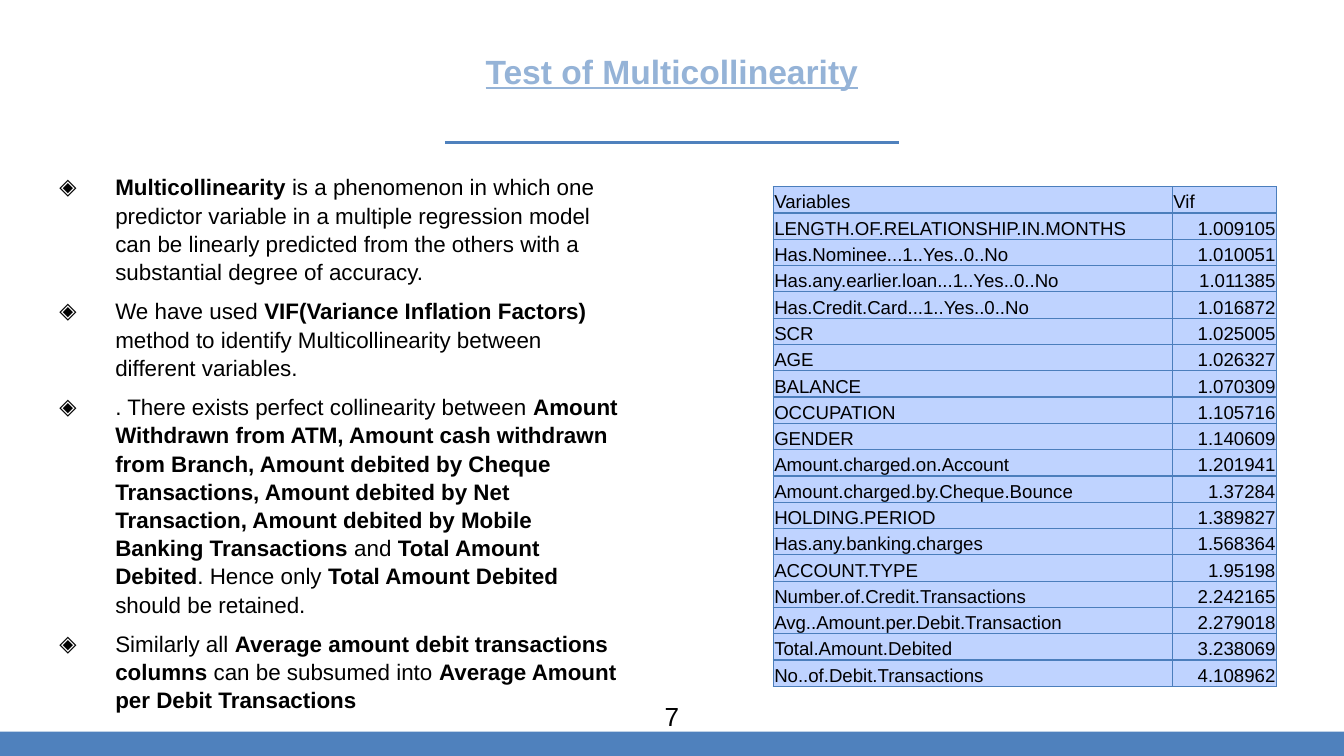
from lxml.etree import SubElement
from pptx import Presentation
from pptx.dml.color import RGBColor
from pptx.enum.shapes import MSO_CONNECTOR, MSO_SHAPE
from pptx.enum.text import MSO_ANCHOR, PP_ALIGN
from pptx.oxml.ns import qn
from pptx.util import Pt

TITLE = "Test of Multicollinearity"
PAGE_NUMBER = "7"

# Each bullet is a list of (text, bold) runs.
BULLETS = [
    [("Multicollinearity", True),
     (" is a phenomenon in which one predictor variable in a multiple regression model "
      "can be linearly predicted from the others with a substantial degree of accuracy.", False)],
    [("We have used ", False),
     ("VIF(Variance Inflation Factors)", True),
     (" method to identify Multicollinearity between different variables.", False)],
    [(". There exists perfect collinearity between ", False),
     ("Amount Withdrawn from ATM, Amount cash withdrawn from Branch, Amount debited by "
      "Cheque Transactions, Amount debited by Net Transaction, Amount debited by Mobile "
      "Banking Transactions", True),
     (" and ", False),
     ("Total Amount Debited", True),
     (". Hence only ", False),
     ("Total Amount Debited", True),
     (" should be retained.", False)],
    [("Similarly all ", False),
     ("Average amount debit transactions columns", True),
     (" can be subsumed into ", False),
     ("Average Amount per Debit Transactions", True)],
]

VIF_ROWS = [
    ("Variables", "Vif"),
    ("LENGTH.OF.RELATIONSHIP.IN.MONTHS", "1.009105"),
    ("Has.Nominee...1..Yes..0..No", "1.010051"),
    ("Has.any.earlier.loan...1..Yes..0..No", "1.011385"),
    ("Has.Credit.Card...1..Yes..0..No", "1.016872"),
    ("SCR", "1.025005"),
    ("AGE", "1.026327"),
    ("BALANCE", "1.070309"),
    ("OCCUPATION", "1.105716"),
    ("GENDER", "1.140609"),
    ("Amount.charged.on.Account", "1.201941"),
    ("Amount.charged.by.Cheque.Bounce", "1.37284"),
    ("HOLDING.PERIOD", "1.389827"),
    ("Has.any.banking.charges", "1.568364"),
    ("ACCOUNT.TYPE", "1.95198"),
    ("Number.of.Credit.Transactions", "2.242165"),
    ("Avg..Amount.per.Debit.Transaction", "2.279018"),
    ("Total.Amount.Debited", "3.238069"),
    ("No..of.Debit.Transactions", "4.108962"),
]

THEME = {
    "font": "Arial",
    "accent": "4F81BD", "title": "95B3D7", "text": "000000",
    "cell": "BFD3FF", "border": "4B7EBC",
    "title_size": 18, "body_size": 12, "number_size": 14, "table_size": 10,
}

WIDTH, HEIGHT = 720, 405
BAR_HEIGHT = 13
RULE_WIDTH, RULE_TOP = 243.4, 76.3
NUMBER_WIDTH = 43.2
TABLE_LEFT, TABLE_TOP, TABLE_HEIGHT = 414.2, 100, 268
COLUMN_WIDTHS = (213.8, 55.8)
INSET = 7.2


def color(name):
    return RGBColor.from_string(THEME[name])


def add_run(paragraph, text, size, ink="text", bold=False, underline=False):
    run = paragraph.add_run()
    run.text = text
    font = run.font
    font.name = THEME["font"]
    font.size = Pt(THEME[size])
    font.bold = bold
    font.underline = underline
    font.color.rgb = color(ink)


def prepare_frame(shape, anchor):
    frame = shape.text_frame
    frame.word_wrap = True
    frame.vertical_anchor = anchor
    frame.margin_left = frame.margin_right = Pt(INSET)
    frame.margin_top = frame.margin_bottom = Pt(INSET)
    return frame


def set_bullet(paragraph):
    properties = paragraph._p.get_or_add_pPr()
    properties.set("marL", str(Pt(36)))
    properties.set("indent", str(Pt(-30)))
    bullet_color = SubElement(properties, qn("a:buClr"))
    SubElement(bullet_color, qn("a:srgbClr"), val=THEME["text"])
    SubElement(properties, qn("a:buFont"), typeface=THEME["font"])
    SubElement(properties, qn("a:buChar"), char="◈")


def set_borders(cell):
    """Line all four sides; borders must precede the cell fill in the XML."""
    properties = cell._tc.get_or_add_tcPr()
    for position, side in enumerate(("lnL", "lnR", "lnT", "lnB")):
        line = SubElement(properties, qn(f"a:{side}"), w=str(Pt(0.75)))
        fill = SubElement(line, qn("a:solidFill"))
        SubElement(fill, qn("a:srgbClr"), val=THEME["border"])
        properties.insert(position, line)


def add_decoration(slide):
    bar = slide.shapes.add_shape(MSO_SHAPE.RECTANGLE, Pt(0), Pt(HEIGHT - BAR_HEIGHT),
                                 Pt(WIDTH), Pt(BAR_HEIGHT))
    bar.shadow.inherit = False
    bar.fill.solid()
    bar.fill.fore_color.rgb = color("accent")
    bar.line.fill.background()

    left = (WIDTH - RULE_WIDTH) / 2
    rule = slide.shapes.add_connector(MSO_CONNECTOR.STRAIGHT, Pt(left), Pt(RULE_TOP),
                                      Pt(left + RULE_WIDTH), Pt(RULE_TOP))
    rule.line.color.rgb = color("accent")
    rule.line.width = Pt(1.5)
    SubElement(rule._element.spPr, qn("a:effectLst"))


def add_title(slide):
    title = slide.shapes.title
    title.left, title.top, title.width, title.height = Pt(36), Pt(0), Pt(648), Pt(76.3)
    paragraph = prepare_frame(title, MSO_ANCHOR.MIDDLE).paragraphs[0]
    paragraph.alignment = PP_ALIGN.CENTER
    add_run(paragraph, TITLE, "title_size", "title", bold=True, underline=True)


def add_bullets(slide):
    box = slide.shapes.add_textbox(Pt(18.7), Pt(85), Pt(319.7), Pt(301))
    frame = prepare_frame(box, MSO_ANCHOR.TOP)
    for index, runs in enumerate(BULLETS):
        paragraph = frame.add_paragraph() if index else frame.paragraphs[0]
        paragraph.space_before = Pt(6)
        paragraph.line_spacing = 1.05
        set_bullet(paragraph)
        for text, bold in runs:
            add_run(paragraph, text, "body_size", bold=bold)


def add_page_number(slide):
    box = slide.shapes.add_textbox(Pt((WIDTH - NUMBER_WIDTH) / 2), Pt(368),
                                   Pt(NUMBER_WIDTH), Pt(31))
    paragraph = prepare_frame(box, MSO_ANCHOR.TOP).paragraphs[0]
    paragraph.alignment = PP_ALIGN.CENTER
    add_run(paragraph, PAGE_NUMBER, "number_size")


def add_vif_table(slide):
    table = slide.shapes.add_table(len(VIF_ROWS), len(COLUMN_WIDTHS), Pt(TABLE_LEFT),
                                   Pt(TABLE_TOP), Pt(sum(COLUMN_WIDTHS)),
                                   Pt(TABLE_HEIGHT)).table
    table.first_row = table.horz_banding = False
    for column, width in zip(table.columns, COLUMN_WIDTHS):
        column.width = Pt(width)
    for row_index, values in enumerate(VIF_ROWS):
        table.rows[row_index].height = Pt(TABLE_HEIGHT / len(VIF_ROWS))
        for column_index, text in enumerate(values):
            cell = table.cell(row_index, column_index)
            cell.margin_left = cell.margin_right = cell.margin_top = Pt(0.6)
            cell.margin_bottom = Pt(0)
            cell.vertical_anchor = MSO_ANCHOR.BOTTOM
            cell.fill.solid()
            cell.fill.fore_color.rgb = color("cell")
            set_borders(cell)
            paragraph = cell.text_frame.paragraphs[0]
            is_value = row_index > 0 and column_index == 1
            paragraph.alignment = PP_ALIGN.RIGHT if is_value else PP_ALIGN.LEFT
            add_run(paragraph, text, "table_size")


def main():
    presentation = Presentation()
    presentation.slide_width, presentation.slide_height = Pt(WIDTH), Pt(HEIGHT)
    slide = presentation.slides.add_slide(presentation.slide_layouts[5])
    add_decoration(slide)
    add_title(slide)
    add_bullets(slide)
    add_page_number(slide)
    add_vif_table(slide)
    presentation.save("out.pptx")


if __name__ == "__main__":
    main()
